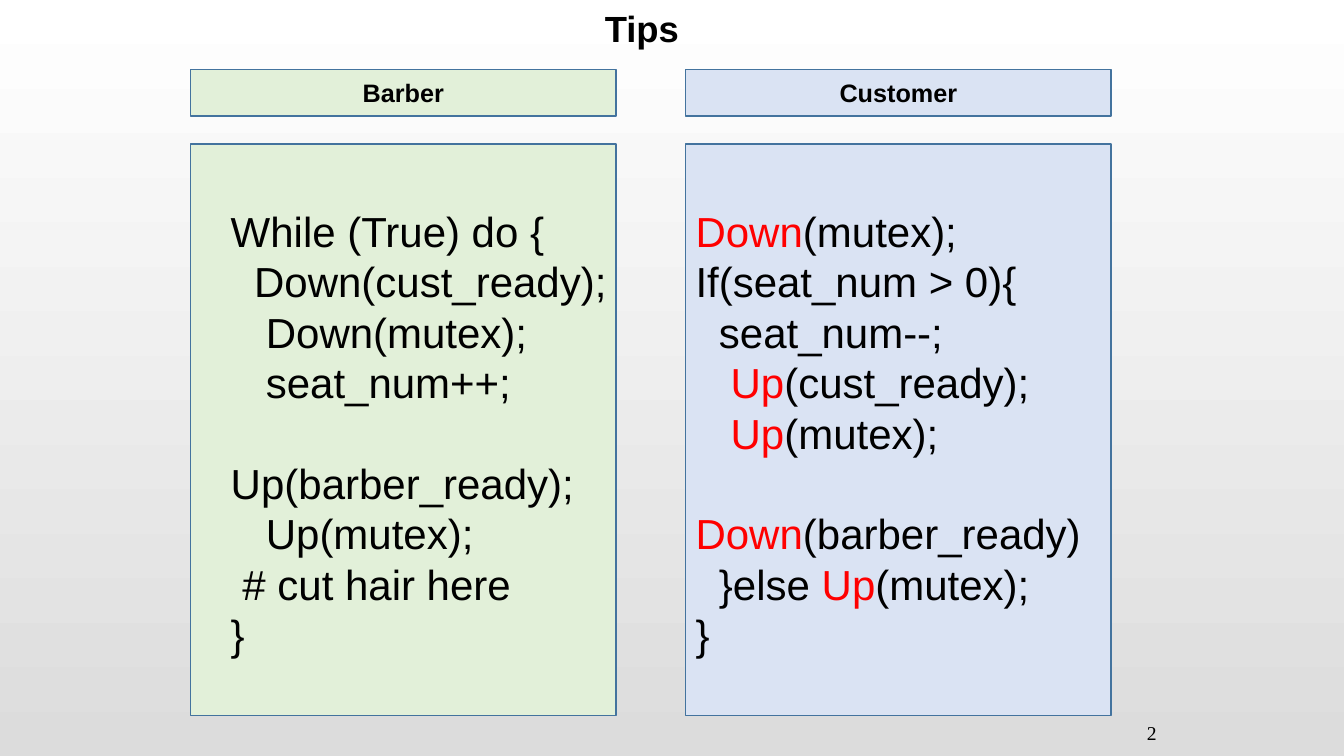
from pptx import Presentation
from pptx.dml.color import RGBColor as RGB
from pptx.enum.shapes import MSO_SHAPE as Shape
from pptx.enum.text import MSO_ANCHOR as Anchor, PP_ALIGN as Align
from pptx.util import Inches, Pt

HUES = {"black": "000000", "red": "FF0000", "green": "E2F0D9", "blue": "DAE3F3",
        "edge": "43739E", "top": "FFFFFF", "base": "DCDCDC"}
CODE = {"name": "Arial", "size": Pt(30)}
HEAD = {"name": "Arial", "size": Pt(18), "bold": True}
TITLE = {"name": "Arial", "size": Pt(26), "bold": True}
PAGE = {"name": "Times New Roman", "size": Pt(14)}
PITCH = Pt(36)
SPACE = 0.116

# Each line of code: indent in spaces, gap lines above, text with calls between bars.
BARBER = [(0, 0, "While (True) do {"), (2, 0, "Down(cust_ready);"),
          (3, 0, "Down(mutex);"), (3, 0, "seat_num++;"),
          (0, 1, "Up(barber_ready);"), (3, 0, "Up(mutex);"),
          (1, 0, "# cut hair here"), (0, 0, "}")]
CUSTOMER = [(0, 0, "|Down|(mutex);"), (0, 0, "If(seat_num > 0){"),
            (2, 0, "seat_num--;"), (3, 0, "|Up|(cust_ready);"),
            (3, 0, "|Up|(mutex);"), (0, 1, "|Down|(barber_ready)"),
            (2, 0, "}else |Up|(mutex);"), (0, 0, "}")]


def write(para, text, style, hue="black"):
    """Add a styled run to a paragraph."""
    run = para.add_run()
    run.text = text
    for key, value in style.items():
        setattr(run.font, key, value)
    run.font.color.rgb = RGB.from_string(HUES[hue])


def panel(slide, box, hue):
    """Draw an outlined rectangle."""
    rect = slide.shapes.add_shape(Shape.RECTANGLE, *map(Inches, box))
    rect.shadow.inherit = False
    rect.fill.solid()
    rect.fill.fore_color.rgb = RGB.from_string(HUES[hue])
    rect.line.color.rgb = RGB.from_string(HUES["edge"])
    rect.line.width = Pt(1)
    return rect


def frame(slide, box):
    """Add a wrapping text box and return its frame."""
    text = slide.shapes.add_textbox(*map(Inches, box)).text_frame
    text.word_wrap = True
    return text


def label(slide, box, text, style, align=Align.LEFT):
    """Place one line of text."""
    para = frame(slide, box).paragraphs[0]
    para.alignment = align
    write(para, text, style)


def listing(slide, box, lines):
    """Set lines of code with indents and red calls."""
    text = frame(slide, box)
    text.margin_right = 0
    for i, (indent, gap, line) in enumerate(lines):
        para = text.add_paragraph() if i else text.paragraphs[0]
        para.line_spacing = PITCH
        para.space_before = Pt(gap * PITCH.pt)
        props = para._p.get_or_add_pPr()
        props.set("marL", str(Inches(indent * SPACE)))
        props.set("indent", "0")
        for j, part in enumerate(line.split("|")):
            if part:
                write(para, part, CODE, "red" if j % 2 else "black")


def column(slide, box, name, hue, lines, inset):
    """Build a header and the code panel below it."""
    left, top, width, height = box
    panel(slide, (left, top + 0.74, width, height - 0.74), hue)
    listing(slide, (left + inset, top + 1.3, width - inset, 4.14), lines)
    head = panel(slide, (left, top, width, 0.46), hue).text_frame
    head.vertical_anchor = Anchor.MIDDLE
    head.paragraphs[0].alignment = Align.CENTER
    write(head.paragraphs[0], name, HEAD)


def backdrop(slide):
    """Fill the background with a downward gradient."""
    fill = slide.background.fill
    fill.gradient()
    fill.gradient_angle = 270
    for stop, hue in zip(fill.gradient_stops, ("top", "base")):
        stop.color.rgb = RGB.from_string(HUES[hue])


def main():
    """Build and save the slide."""
    deck = Presentation()
    deck.slide_width, deck.slide_height = Inches(13.33), Inches(7.5)
    slide = deck.slides.add_slide(deck.slide_layouts[6])
    backdrop(slide)
    label(slide, (11.03, 7.1, 0.54, 0.4), "2", PAGE, Align.RIGHT)
    column(slide, (1.89, 0.69, 4.22, 6.41), "Barber", "green", BARBER, 0.3)
    column(slide, (6.8, 0.69, 4.22, 6.41), "Customer", "blue", CUSTOMER, 0)
    label(slide, (5.9, 0.01, 3.01, 0.54), "Tips", TITLE)
    deck.save("out.pptx")


if __name__ == "__main__":
    main()
